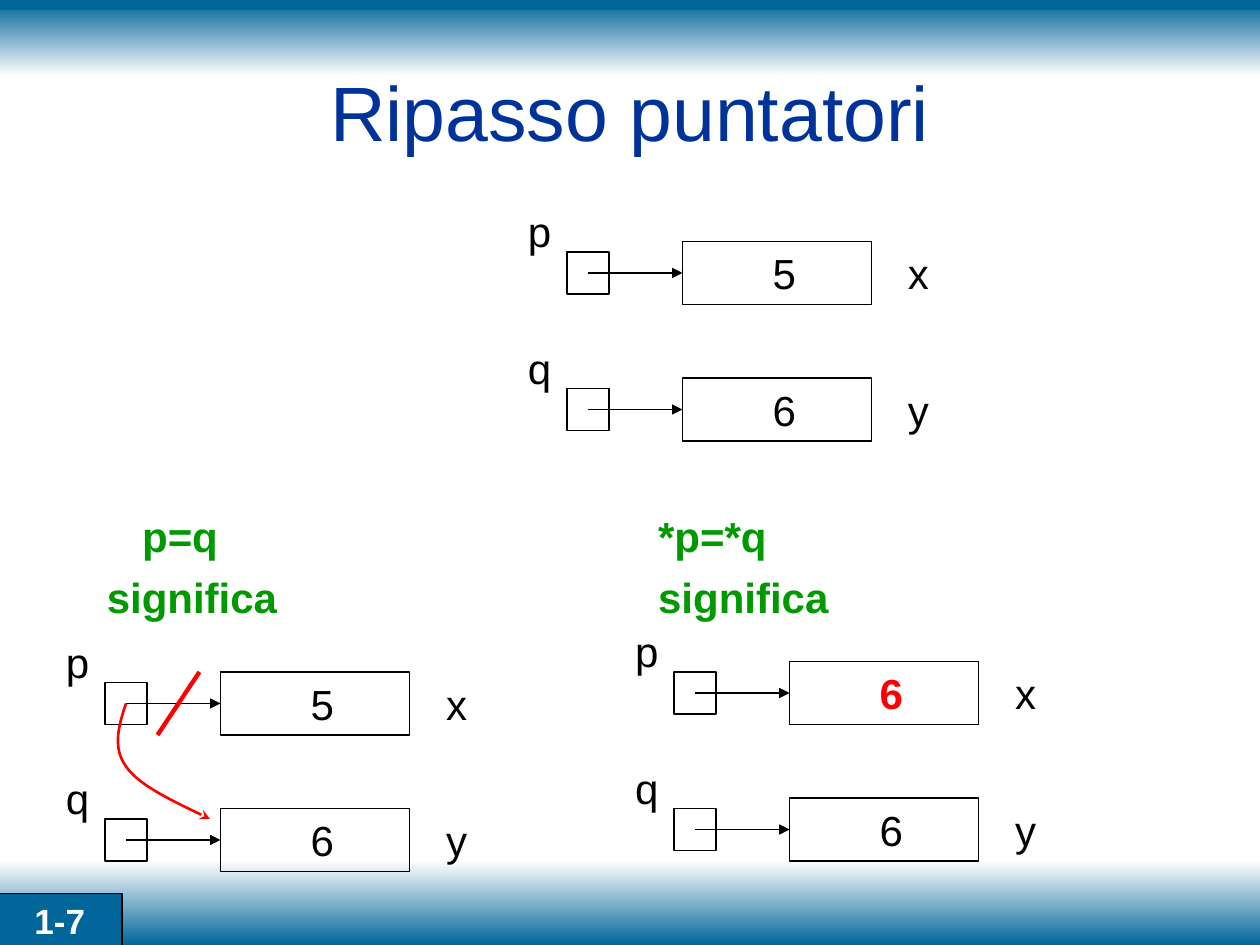
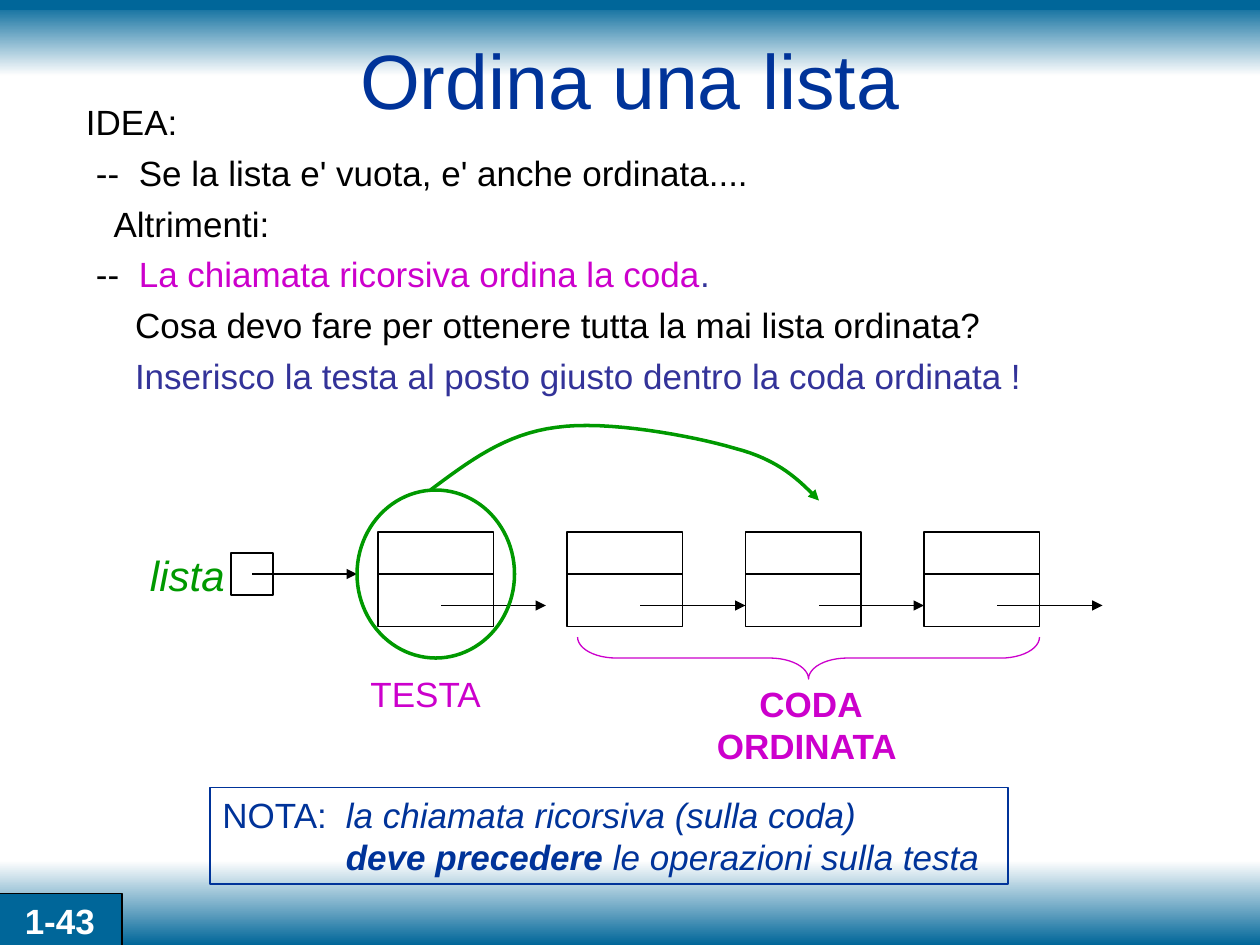
import pptx
import pptx.dml.color
import pptx.enum.shapes
import pptx.enum.text
import pptx.oxml.ns
import pptx.util
import lxml.etree

COLS, ROWS = 120, 90
STEP = pptx.util.Inches(10) // COLS
BLACK, WHITE, RED = "000000", "FFFFFF", "FF0000"
BAND, PALE, NAVY = "006699", "FEFEFE", "003399"
GREEN, PINK, INDIGO = "009900", "CC00CC", "333399"
FORM = pptx.enum.shapes.MSO_SHAPE
ALIGN = pptx.enum.text.PP_ALIGN
ANCHOR = pptx.enum.text.MSO_ANCHOR


def tone(code):
    return pptx.dml.color.RGBColor.from_string(code)


def grid(*cells):
    return [round(cell * STEP) for cell in cells]


def fit(thing, values):
    for name, value in values.items():
        setattr(thing, name, value)


def edge(shape, color, width, tip=None):
    shape.line.color.rgb = tone(color)
    shape.line.width = pptx.util.Pt(width)
    if tip:
        line = shape.element.xpath(".//a:ln")[0]
        lxml.etree.SubElement(line, pptx.oxml.ns.qn("a:tailEnd"), type=tip)


def draw(slide, form, at, color=BLACK, width=0.75, fill=None):
    shape = slide.shapes.add_shape(form, *grid(*at))
    shape.shadow.inherit = False
    if fill:
        shape.fill.solid()
        shape.fill.fore_color.rgb = tone(fill)
    else:
        shape.fill.background()
    edge(shape, color, width)
    return shape


def band(slide, at, colors):
    shape = draw(slide, FORM.RECTANGLE, at)
    shape.line.fill.background()
    shape.fill.gradient()
    shape.fill.gradient_angle = 270
    for stop, color in zip(shape.fill.gradient_stops, colors):
        stop.color.rgb = tone(color)


def link(slide, start, end, color=BLACK, width=0.75, tip=None, goal=None):
    kind = pptx.enum.shapes.MSO_CONNECTOR.STRAIGHT
    line = slide.shapes.add_connector(kind, *grid(*start, *end))
    edge(line, color, width, tip)
    lxml.etree.SubElement(line.element.spPr, pptx.oxml.ns.qn("a:effectLst"))
    if goal:
        line.end_connect(goal, 1)


def curve(slide, start, bends, color, width, tip, count=16):
    points, last = [], start
    for one, two, end in bends:
        for step in range(1, count + 1):
            t = step / count
            s = 1 - t
            points.append(grid(*(
                s**3 * a + 3 * s * s * t * b + 3 * s * t * t * c + t**3 * d
                for a, b, c, d in zip(last, one, two, end))))
        last = end
    pen = slide.shapes.build_freeform(*grid(*start))
    pen.add_line_segments(points, close=False)
    shape = pen.convert_to_shape()
    shape.shadow.inherit = False
    shape.fill.background()
    edge(shape, color, width, tip)


def write(shape, lines, size=24, align=ALIGN.LEFT, anchor=ANCHOR.TOP,
          wrap=False, gap=0, **look):
    frame = shape.text_frame
    fit(frame, {"word_wrap": wrap, "vertical_anchor": anchor})
    for rank, (left, first, runs) in enumerate(lines):
        para = frame.add_paragraph() if rank else frame.paragraphs[0]
        fit(para, {"alignment": align,
                   "line_spacing": pptx.util.Pt(1.2 * size),
                   "space_before": pptx.util.Pt(gap if rank else 0)})
        props = para._p.get_or_add_pPr()
        props.set("marL", str(pptx.util.Inches(left)))
        props.set("indent", str(pptx.util.Inches(first)))
        for words, own in runs:
            run = para.add_run()
            run.text = words
            style = {"name": "Arial", "size": pptx.util.Pt(size),
                     "color": BLACK, **look, **own}
            run.font.color.rgb = tone(style.pop("color"))
            fit(run.font, style)


def plain(*rows):
    return [(0, 0, [(row, {})]) for row in rows]


def label(slide, at, lines, **look):
    write(slide.shapes.add_textbox(*grid(*at)), lines, **look)


def page(deck, title, top, number):
    slide = deck.slides.add_slide(deck.slide_layouts[6])
    band(slide, (0, 0.2, COLS, 7), (BAND, PALE))
    band(slide, (0, 82, COLS, 8), (PALE, BAND))
    link(slide, (0, 0.5), (COLS, 0.5), BAND, 6)
    tag = draw(slide, FORM.RECTANGLE, (-0.2, 85.1, 11.8, 5.3), width=1, fill=BAND)
    write(tag, plain(number), 20, ALIGN.CENTER, color=WHITE, bold=True)
    label(slide, (9, top, 102, 15), plain(title), size=44, wrap=True,
          align=ALIGN.CENTER, anchor=ANCHOR.MIDDLE, color=NAVY)
    return slide


def pair(slide, col, row, values, marks=({}, {})):
    for rank, (name, item, value, mark) in enumerate(zip("pq", "xy", values, marks)):
        top = row + 13 * rank
        draw(slide, FORM.RECTANGLE, (col, top + 1, 4, 4))
        cell = draw(slide, FORM.RECTANGLE, (col + 11, top, 18, 6))
        link(slide, (col + 2, top + 3), (col + 11, top + 3), tip="triangle", goal=cell)
        label(slide, (col + 18.4, top, 4.5, 6), plain(value), **mark)
        label(slide, (col + 31.3, top, 4.3, 6), plain(item))
        label(slide, (col - 4.9, top - 4, 4.5, 6), plain(name))


def node(slide, col, row, start):
    draw(slide, FORM.RECTANGLE, (col, row, 11, 9))
    link(slide, (col, row + 4), (col + 11, row + 4))
    link(slide, (col + start, row + 7), (col + start + 10, row + 7), tip="triangle")


def review(deck):
    slide = page(deck, "Ripasso puntatori", 3, "1-7")
    for col, inset, code in ((9, 0.28, "p=q"), (61.5, 0, "*p=*q")):
        lines = [(inset, 0, [(code, {})])] + plain("significa")
        label(slide, (col, 48, 30, 12), lines, gap=6, color=GREEN, bold=True)
    pair(slide, 54, 23, "56")
    pair(slide, 64.2, 63, "66", ({"color": RED, "bold": True}, {}))
    pair(slide, 10, 64, "56")
    link(slide, (19, 64), (15, 70), RED, 2.5)
    curve(slide, (12, 67), [((11.3, 69.1), (10.7, 71.2), (12, 73)),
                            ((13.3, 74.9), (16.7, 76.4), (20, 78))],
          RED, 1.5, "stealth")


def order(deck):
    slide = page(deck, "Ordina una lista", 0, "1-43")
    pink, blue, slant = {"color": PINK}, {"color": INDIGO}, {"italic": True}
    label(slide, (7, 9, 107, 62), [
        (0, 0, [("IDEA:", {})]),
        (0.42, -0.34, [("--\tSe la lista e' vuota, e' anche ordinata....", {})]),
        (0.22, 0, [("Altrimenti:", {})]),
        (0.42, -0.34, [("--\t", {}),
                       ("La chiamata ricorsiva ordina la coda", pink), (".", blue)]),
        (0.39, 0, [("Cosa devo fare per ottenere tutta la mai lista ordinata?", {})]),
        (0.39, 0, [("Inserisco la testa al posto giusto dentro la coda ordinata !", blue)]),
    ], size=20, wrap=True, gap=5)
    top = 50.67
    draw(slide, FORM.RECTANGLE, (22, top + 2, 4, 4))
    link(slide, (24, top + 4), (34, top + 4), tip="triangle")
    node(slide, 36, top, 6)
    for rank in range(3):
        node(slide, 54 + 17 * rank, top, 7)
    label(slide, (13.1, 51.7, 9.5, 6), plain("lista"), color=GREEN, italic=True)
    label(slide, (34.1, 63.5, 13.1, 5.3), plain("TESTA"), size=20, color=PINK)
    label(slide, (66.8, 64.4, 20.9, 9.2), plain("CODA", "ORDINATA "), size=20,
          align=ALIGN.CENTER, color=PINK, bold=True)
    brace = draw(slide, FORM.RIGHT_BRACE, (75, 40.67, 4, 44), PINK)
    brace.rotation = 90
    brace.adjustments[0] = 0.92
    draw(slide, FORM.OVAL, (34, top - 4, 15, 16), GREEN, 2)
    curve(slide, (41, 46.67), [((44.6, 44), (48.1, 41.3), (53, 40.7)),
                               ((57.8, 40), (65.9, 41.5), (70, 42.7)),
                               ((74.2, 43.8), (76.1, 45.7), (78, 47.67))],
          GREEN, 2, "triangle")
    note = draw(slide, FORM.RECTANGLE, (20, 75, 76, 9.2), NAVY)
    write(note, [
        (0.98, -0.98, [("NOTA:\t", {}), ("la chiamata ricorsiva (sulla coda)", slant)]),
        (0.98, 0, [("deve precedere", {"bold": True, **slant}),
                   (" le operazioni sulla testa", slant)]),
    ], 20, wrap=True, color=NAVY)


def main():
    deck = pptx.Presentation()
    fit(deck, {"slide_width": COLS * STEP, "slide_height": ROWS * STEP})
    review(deck)
    order(deck)
    deck.save("out.pptx")


if __name__ == "__main__":
    main()
